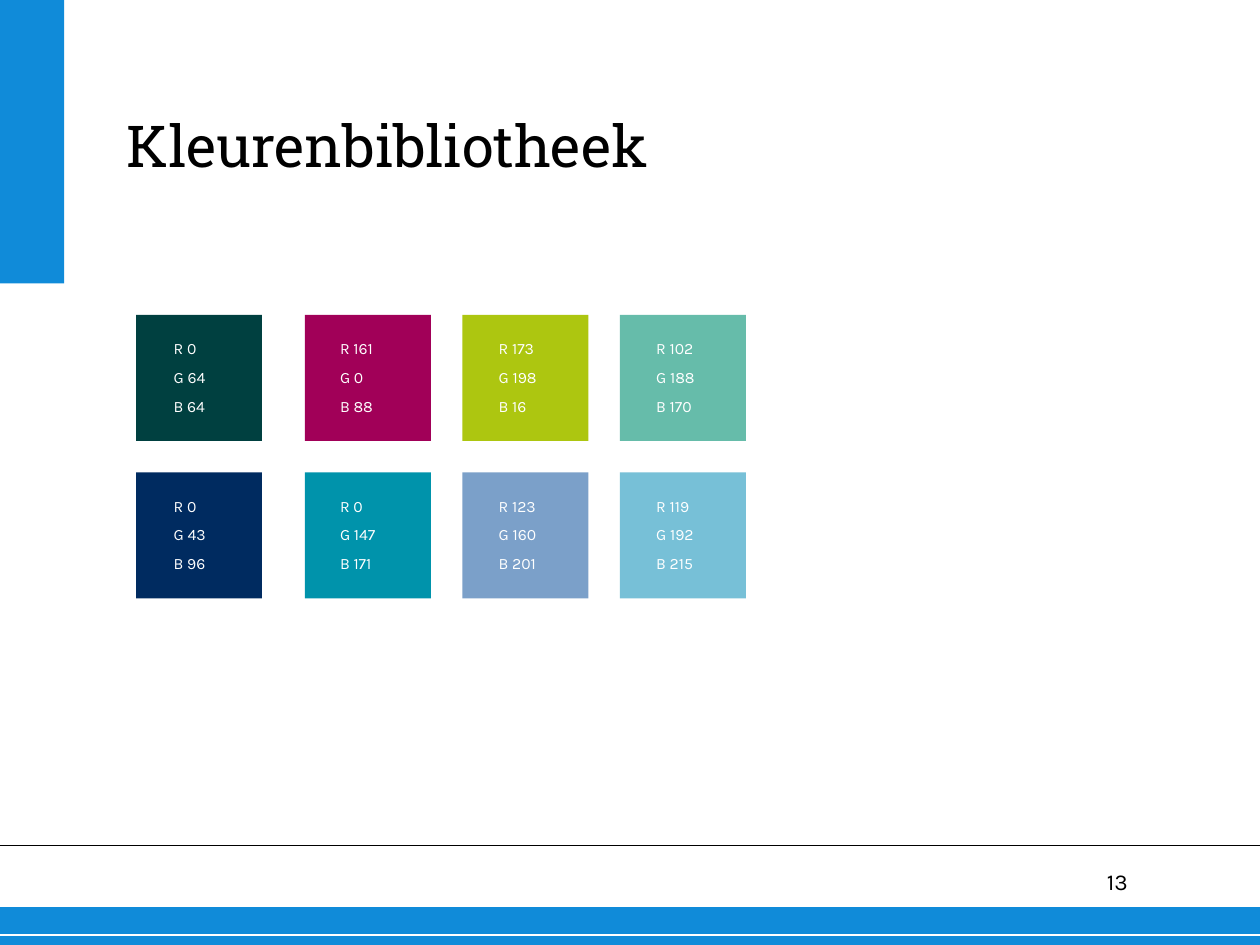
from pptx import Presentation
from pptx.dml.color import RGBColor
from pptx.enum.shapes import MSO_CONNECTOR, MSO_SHAPE
from pptx.enum.text import MSO_ANCHOR, PP_ALIGN
from pptx.oxml.ns import qn
from pptx.util import Inches, Pt
from lxml.etree import SubElement

# Content
TITLE = "Kleurenbibliotheek"
PAGE_NUMBER = "13"
SWATCHES = [
    [(0, 64, 64), (161, 0, 88), (173, 198, 16), (102, 188, 170)],
    [(0, 43, 96), (0, 147, 171), (123, 160, 201), (119, 192, 215)],
]

BLUE = RGBColor(0x10, 0x8B, 0xD9)
BLACK = RGBColor(0, 0, 0)
WHITE = RGBColor(255, 255, 255)
HEADING_FONT, BODY_FONT = "Roboto Slab", "Karla"

# Grid, in inches
WIDTH, HEIGHT = 10, 7.5
SIZE, PITCH = 1, 1.25
GRID_TOP = 2.5
COLUMNS = [1.08] + [2.42 + PITCH * i for i in range(3)]
LABEL_INDENTS = [0.2, 0.18, 0.19, 0.19]
LABEL_DROP = 0.14
FOOTER_HEIGHT = 0.3


def add_block(page, left, top, width, height, color):
    block = page.shapes.add_shape(
        MSO_SHAPE.RECTANGLE, Inches(left), Inches(top), Inches(width), Inches(height))
    block.shadow.inherit = False
    block.fill.solid()
    block.fill.fore_color.rgb = color
    block.line.fill.background()


def add_rule(page, y, color, weight):
    rule = page.shapes.add_connector(
        MSO_CONNECTOR.STRAIGHT, 0, Inches(y), Inches(WIDTH), Inches(y))
    rule.line.color.rgb = color
    rule.line.width = Pt(weight)
    SubElement(rule._element.spPr, qn("a:effectLst"))


def add_text(page, left, top, width, height, lines, font, size, color,
             margins=(0, 0), anchor=MSO_ANCHOR.TOP, align=PP_ALIGN.LEFT, gap=0):
    box = page.shapes.add_textbox(
        Inches(left), Inches(top), Inches(width), Inches(height))
    frame = box.text_frame
    frame.word_wrap = True
    frame.vertical_anchor = anchor
    frame.margin_left = frame.margin_right = Inches(margins[0])
    frame.margin_top = frame.margin_bottom = Inches(margins[1])
    for i, line in enumerate(lines):
        para = frame.add_paragraph() if i else frame.paragraphs[0]
        para.alignment = align
        if i:
            para.space_before = Pt(gap)
        span = para.add_run()
        span.text = line
        span.font.name = font
        span.font.size = Pt(size)
        span.font.color.rgb = color


def main():
    deck = Presentation()
    deck.slide_width, deck.slide_height = Inches(WIDTH), Inches(HEIGHT)
    page = deck.slides.add_slide(deck.slide_layouts[6])

    # Footer and side bar
    add_text(page, 8.36, 6.89, 0.59, 0.28, [PAGE_NUMBER], BODY_FONT, 13, BLACK,
             align=PP_ALIGN.RIGHT)
    add_block(page, 0, HEIGHT - FOOTER_HEIGHT, WIDTH, FOOTER_HEIGHT, BLUE)
    add_rule(page, 7.42, WHITE, 0.75)
    add_rule(page, 6.71, BLACK, 1)
    add_block(page, 0, 0, 0.51, HEIGHT * 0.3, BLUE)

    # Title
    add_text(page, 1, 0.25, 8.38, 1.17, [TITLE], HEADING_FONT, 33, BLACK,
             anchor=MSO_ANCHOR.BOTTOM)

    # Swatches, each labelled with its own colour values
    for row, colors in enumerate(SWATCHES):
        top = GRID_TOP + PITCH * row
        for left, indent, color in zip(COLUMNS, LABEL_INDENTS, colors):
            add_block(page, left, top, SIZE, SIZE, RGBColor(*color))
            lines = [f"{channel} {value}" for channel, value in zip("RGB", color)]
            add_text(page, left + indent, top + LABEL_DROP, 0.58, 0.71, lines,
                     BODY_FONT, 9, WHITE, margins=(0.1, 0.05), gap=5.6)

    deck.save("out.pptx")


if __name__ == "__main__":
    main()
